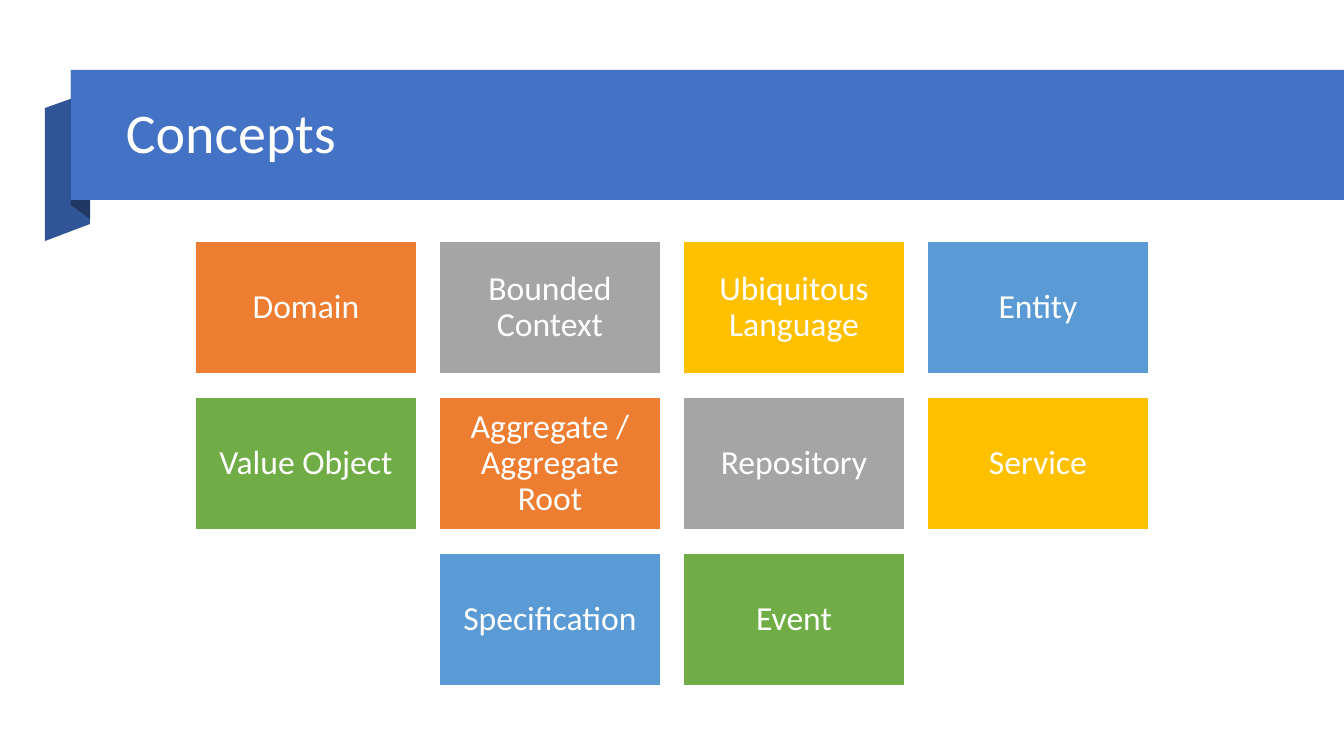
from pptx import Presentation
from pptx.dml.color import RGBColor
from pptx.enum.shapes import MSO_SHAPE
from pptx.enum.text import MSO_ANCHOR, PP_ALIGN
from pptx.util import Pt

PX = 914400 / 100.8
SLIDE_W, SLIDE_H = 1344, 756
WHITE = "FFFFFF"
FONT = "Calibri"

TITLE = "Concepts"
TITLE_BOX = (116, 87, 1136, 97)
BANNER = (71, 70, 1273, 130)
BANNER_COLOR = "4472C4"
RIBBON_FOLDS = [
    ("2F5597", [(90, 224), (45, 241), (45, 108), (90, 92)]),
    ("203864", [(90, 219), (71, 205), (71, 70), (90, 85)]),
]

CONCEPT_ROWS = [
    ["Domain", "Bounded Context", "Ubiquitous Language", "Entity"],
    ["Value Object", "Aggregate / Aggregate Root", "Repository", "Service"],
    ["Specification", "Event"],
]
CARD_COLORS = ["ED7D31", "A5A5A5", "FFC000", "5B9BD5", "70AD47"]
CARD_W, CARD_H = 222, 133
PITCH_X, PITCH_Y = 244, 156
CARDS_TOP = 241
CARD_INSET = 10


def emu(px):
    return round(px * PX)


def color(hex_string):
    return RGBColor.from_string(hex_string)


def paint(shape, fill, outline=None):
    shape.shadow.inherit = False
    shape.fill.solid()
    shape.fill.fore_color.rgb = color(fill)
    if outline:
        shape.line.color.rgb = color(outline)
        shape.line.width = Pt(1)
    else:
        shape.line.fill.background()


def add_rectangle(slide, box, fill, outline=None):
    rectangle = slide.shapes.add_shape(MSO_SHAPE.RECTANGLE, *map(emu, box))
    paint(rectangle, fill, outline)
    return rectangle


def write(shape, wording, size, align):
    frame = shape.text_frame
    frame.word_wrap = True
    frame.vertical_anchor = MSO_ANCHOR.MIDDLE
    paragraph = frame.paragraphs[0]
    paragraph.alignment = align
    paragraph.line_spacing = 0.9
    run = paragraph.add_run()
    run.text = wording
    run.font.size = Pt(size)
    run.font.name = FONT
    run.font.color.rgb = color(WHITE)


def add_ribbon(slide):
    for fill, (start, *corners) in RIBBON_FOLDS:
        outline = slide.shapes.build_freeform(*start, scale=PX)
        outline.add_line_segments(corners, close=True)
        paint(outline.convert_to_shape(), fill)
    add_rectangle(slide, BANNER, BANNER_COLOR)
    title = slide.shapes.add_textbox(*map(emu, TITLE_BOX))
    write(title, TITLE, 40, PP_ALIGN.LEFT)


def add_concepts(slide):
    card_number = 0
    for row, concepts in enumerate(CONCEPT_ROWS):
        row_width = (len(concepts) - 1) * PITCH_X + CARD_W
        row_left = (SLIDE_W - row_width) // 2
        for column, concept in enumerate(concepts):
            box = (row_left + column * PITCH_X, CARDS_TOP + row * PITCH_Y, CARD_W, CARD_H)
            fill = CARD_COLORS[card_number % len(CARD_COLORS)]
            card = add_rectangle(slide, box, fill, WHITE)
            frame = card.text_frame
            frame.margin_left = frame.margin_right = emu(CARD_INSET)
            frame.margin_top = frame.margin_bottom = emu(CARD_INSET)
            write(card, concept, 24, PP_ALIGN.CENTER)
            card_number += 1


def main():
    deck = Presentation()
    deck.slide_width, deck.slide_height = emu(SLIDE_W), emu(SLIDE_H)
    slide = deck.slides.add_slide(deck.slide_layouts[6])
    add_ribbon(slide)
    add_concepts(slide)
    deck.save("out.pptx")


if __name__ == "__main__":
    main()
